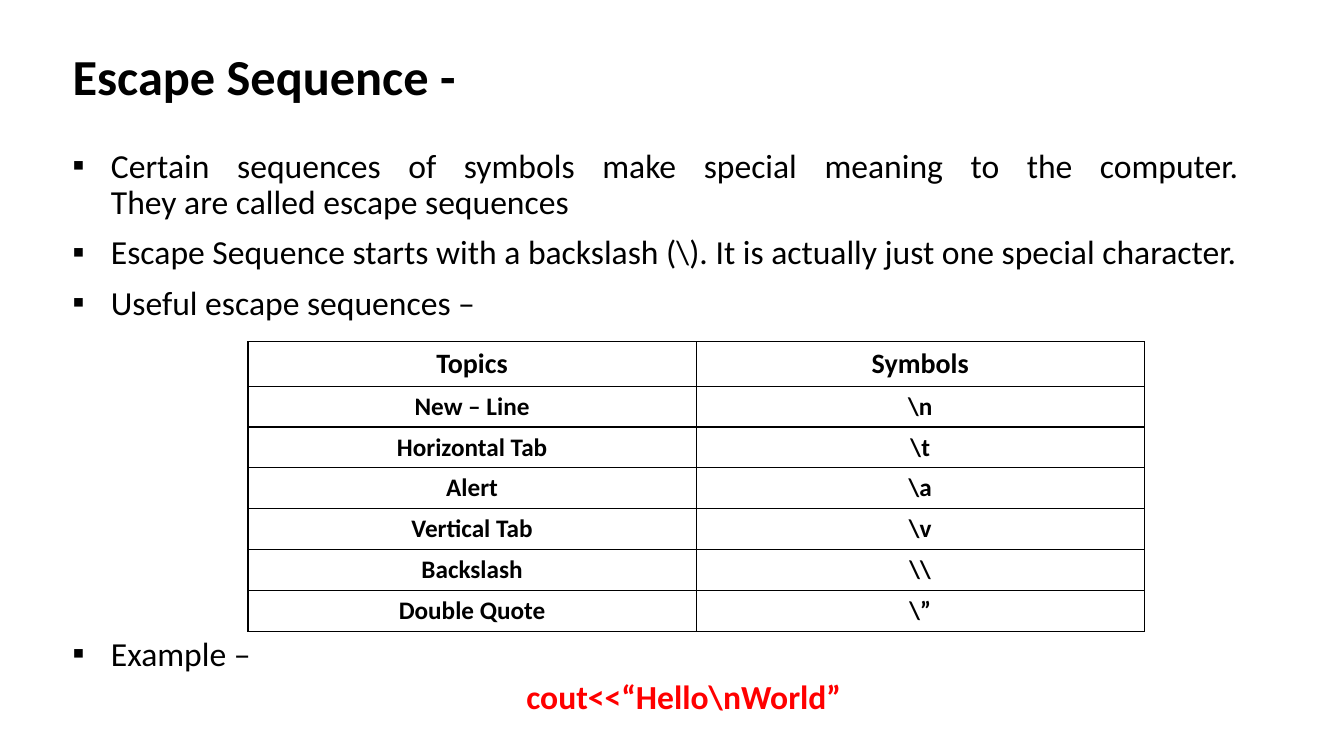
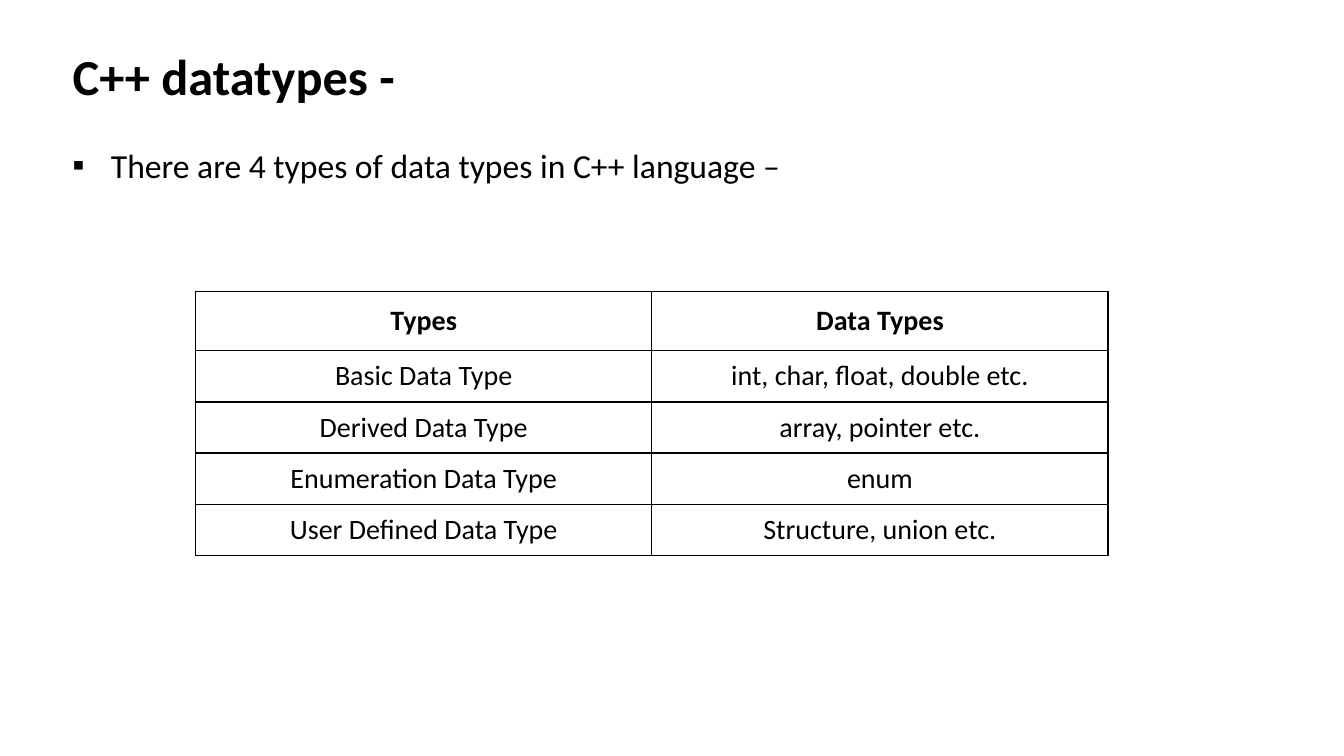
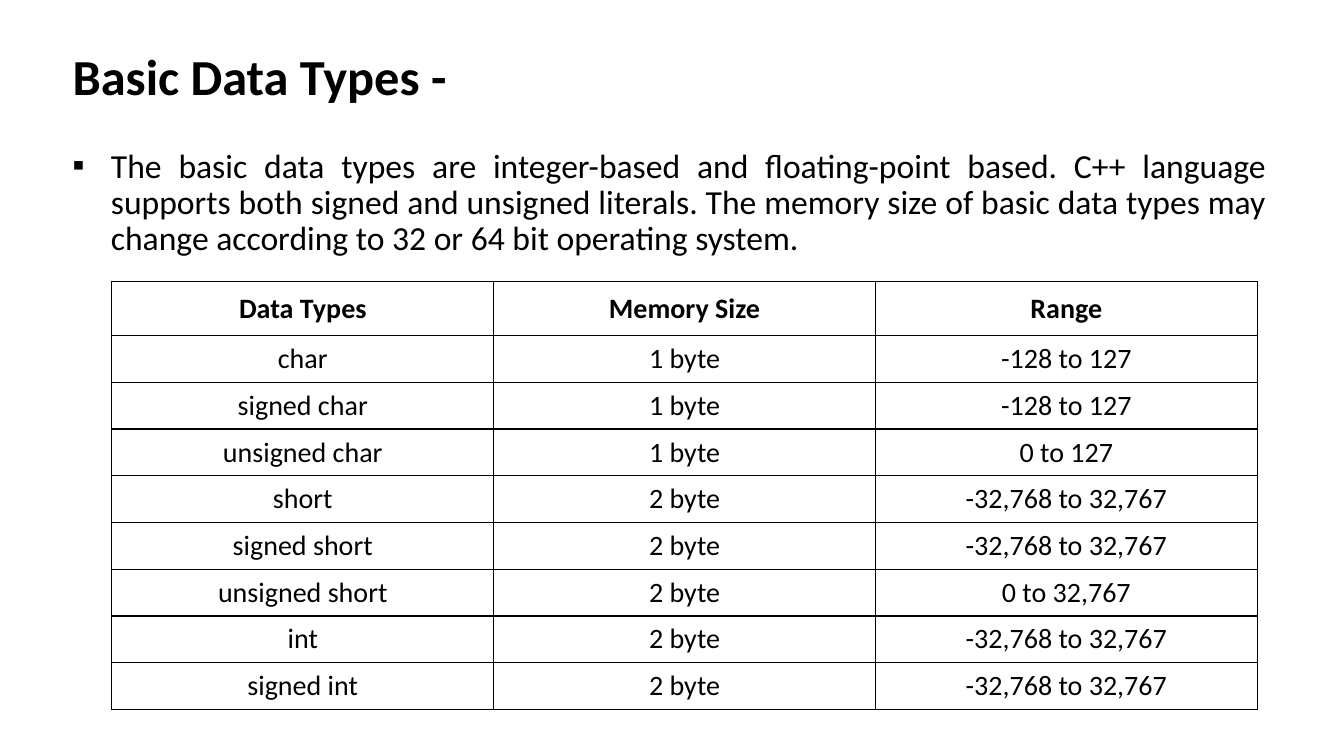
from dataclasses import dataclass

from lxml import etree
from pptx import Presentation
from pptx.dml.color import RGBColor
from pptx.enum.text import MSO_ANCHOR, MSO_AUTO_SIZE, PP_ALIGN
from pptx.oxml.ns import qn
from pptx.util import Inches, Pt

LEFT, CENTER, JUSTIFY = PP_ALIGN.LEFT, PP_ALIGN.CENTER, PP_ALIGN.JUSTIFY
TOP, MIDDLE, BOTTOM = MSO_ANCHOR.TOP, MSO_ANCHOR.MIDDLE, MSO_ANCHOR.BOTTOM
NO_AUTOFIT = MSO_AUTO_SIZE.NONE

FONT = "Calibri"
BLACK, RED = "000000", "FF0000"
MARGIN, TEXT_WIDTH = 0.62, 12.04
BULLET_INDENT = 0.38
CODE_INDENT = 4.5


@dataclass
class Item:
    lines: tuple[str, ...]
    before: float = 10
    code: bool = False


@dataclass
class Grid:
    left: float
    top: float
    width: float
    height: float
    header_height: float
    header_inset: float
    inset: float
    rows: list[tuple[str, ...]]
    size: float = 20
    bold: bool = False


@dataclass
class Page:
    title: str
    body_height: float
    items: list[Item]
    grid: Grid


PAGES = [
    Page(
        "Escape Sequence -", 5.72,
        [
            Item(("Certain sequences of symbols make special meaning to the computer. ",
                  "They are called escape sequences")),
            Item((r"Escape Sequence starts with a backslash (\). "
                  "It is actually just one special character.",)),
            Item(("Useful escape sequences –",)),
            Item(("Example –",), before=225),
            Item((r"cout<<“Hello\nWorld”",), before=5, code=True),
        ],
        Grid(2.46, 3.39, 8.89, 2.87, 0.44, 0.05, 0.05, [
            ("Topics", "Symbols"),
            ("New – Line", r"\n"),
            ("Horizontal Tab", r"\t"),
            ("Alert", r"\a"),
            ("Vertical Tab", r"\v"),
            ("Backslash", r"\\"),
            ("Double Quote", r"\”"),
        ], size=18, bold=True),
    ),
    Page(
        "C++ datatypes -", 5.52,
        [Item(("There are 4 types of data types in C++ language –",))],
        Grid(1.94, 2.89, 9.05, 2.62, 0.59, 0.12, 0.08, [
            ("Types", "Data Types"),
            ("Basic Data Type", "int, char, float, double etc."),
            ("Derived Data Type", "array, pointer etc."),
            ("Enumeration Data Type", "enum"),
            ("User Defined Data Type", "Structure, union etc."),
        ]),
    ),
    Page(
        "Basic Data Types -", 5.52,
        [Item(("The basic data types are integer-based and floating-point based. "
               "C++ language supports both signed and unsigned literals. "
               "The memory size of basic data types may change according to "
               "32 or 64 bit operating system.",))],
        Grid(1.11, 2.79, 11.36, 4.25, 0.54, 0.07, 0.04, [
            ("Data Types", "Memory Size", "Range"),
            ("char", "1 byte", "-128 to 127"),
            ("signed char", "1 byte", "-128 to 127"),
            ("unsigned char", "1 byte", "0 to 127"),
            ("short", "2 byte", "-32,768 to 32,767"),
            ("signed short", "2 byte", "-32,768 to 32,767"),
            ("unsigned short", "2 byte", "0 to 32,767"),
            ("int", "2 byte", "-32,768 to 32,767"),
            ("signed int", "2 byte", "-32,768 to 32,767"),
        ]),
    ),
]


def rgb(color: str) -> RGBColor:
    return RGBColor.from_string(color)


def add_run(p, text: str, size: float, bold: bool = False, color: str = BLACK) -> None:
    r = p.add_run()
    r.text = text
    r.font.name = FONT
    r.font.size = Pt(size)
    r.font.bold = bold
    r.font.color.rgb = rgb(color)


def place(sp, top: float, height: float, anchor):
    """Move a placeholder to the shared text column and return its text frame."""
    sp.left, sp.top = Inches(MARGIN), Inches(top)
    sp.width, sp.height = Inches(TEXT_WIDTH), Inches(height)
    tf = sp.text_frame
    tf.word_wrap = True
    tf.auto_size = NO_AUTOFIT
    tf.vertical_anchor = anchor
    return tf


def set_bullet(p, left: float, hanging: float, char: str = "") -> None:
    """Set the indents, and a bullet character or none."""
    pPr = p._p.get_or_add_pPr()
    pPr.set("marL", str(Inches(left)))
    pPr.set("indent", str(-Inches(hanging)))
    if char:
        etree.SubElement(pPr, qn("a:buFont"), typeface=FONT)
        etree.SubElement(pPr, qn("a:buChar"), char=char)
    else:
        etree.SubElement(pPr, qn("a:buNone"))


def add_title(s, text: str) -> None:
    p = place(s.shapes.title, 0.47, 0.64, BOTTOM).paragraphs[0]
    p.alignment = LEFT
    p.line_spacing = 0.9
    add_run(p, text, 36, bold=True)


def add_items(s, items: list[Item], height: float) -> None:
    tf = place(s.placeholders[1], 1.43, height, TOP)
    for i, item in enumerate(items):
        p = tf.add_paragraph() if i else tf.paragraphs[0]
        p.line_spacing = 0.9
        p.space_before = Pt(item.before)
        if item.code:
            p.level = 1
            p.alignment = LEFT
            set_bullet(p, CODE_INDENT, 0)
        else:
            p.alignment = JUSTIFY
            set_bullet(p, BULLET_INDENT, BULLET_INDENT, "▪")
        for n, line in enumerate(item.lines):
            if n:
                p.add_line_break()
            add_run(p, line, 24, item.code, RED if item.code else BLACK)


def add_borders(cell, color: str = BLACK, width: float = 1) -> None:
    tcPr = cell._tc.get_or_add_tcPr()
    for side in ("lnL", "lnR", "lnT", "lnB"):
        ln = etree.SubElement(tcPr, qn(f"a:{side}"), w=str(Pt(width)))
        fill = etree.SubElement(ln, qn("a:solidFill"))
        etree.SubElement(fill, qn("a:srgbClr"), val=color)


def add_grid(s, grid: Grid) -> None:
    n_rows, n_cols = len(grid.rows), len(grid.rows[0])
    table = s.shapes.add_table(
        n_rows, n_cols, Inches(grid.left), Inches(grid.top),
        Inches(grid.width), Inches(grid.height)).table
    table.horz_banding = False
    for col in table.columns:
        col.width = Inches(grid.width / n_cols)
    row_height = (grid.height - grid.header_height) / (n_rows - 1)
    for i, texts in enumerate(grid.rows):
        header = i == 0
        table.rows[i].height = Inches(grid.header_height if header else row_height)
        inset = Inches(grid.header_inset if header else grid.inset)
        for j, text in enumerate(texts):
            cell = table.cell(i, j)
            cell.margin_left = cell.margin_right = inset
            cell.margin_top = cell.margin_bottom = inset
            cell.vertical_anchor = MIDDLE
            add_borders(cell)
            cell.fill.background()
            p = cell.text_frame.paragraphs[0]
            p.alignment = CENTER
            add_run(p, text, 20 if header else grid.size, header or grid.bold)


def main() -> None:
    prs = Presentation()
    prs.slide_width, prs.slide_height = Inches(13.33), Inches(7.5)
    for page in PAGES:
        s = prs.slides.add_slide(prs.slide_layouts[1])
        add_title(s, page.title)
        add_items(s, page.items, page.body_height)
        add_grid(s, page.grid)
    prs.save("out.pptx")


if __name__ == "__main__":
    main()
